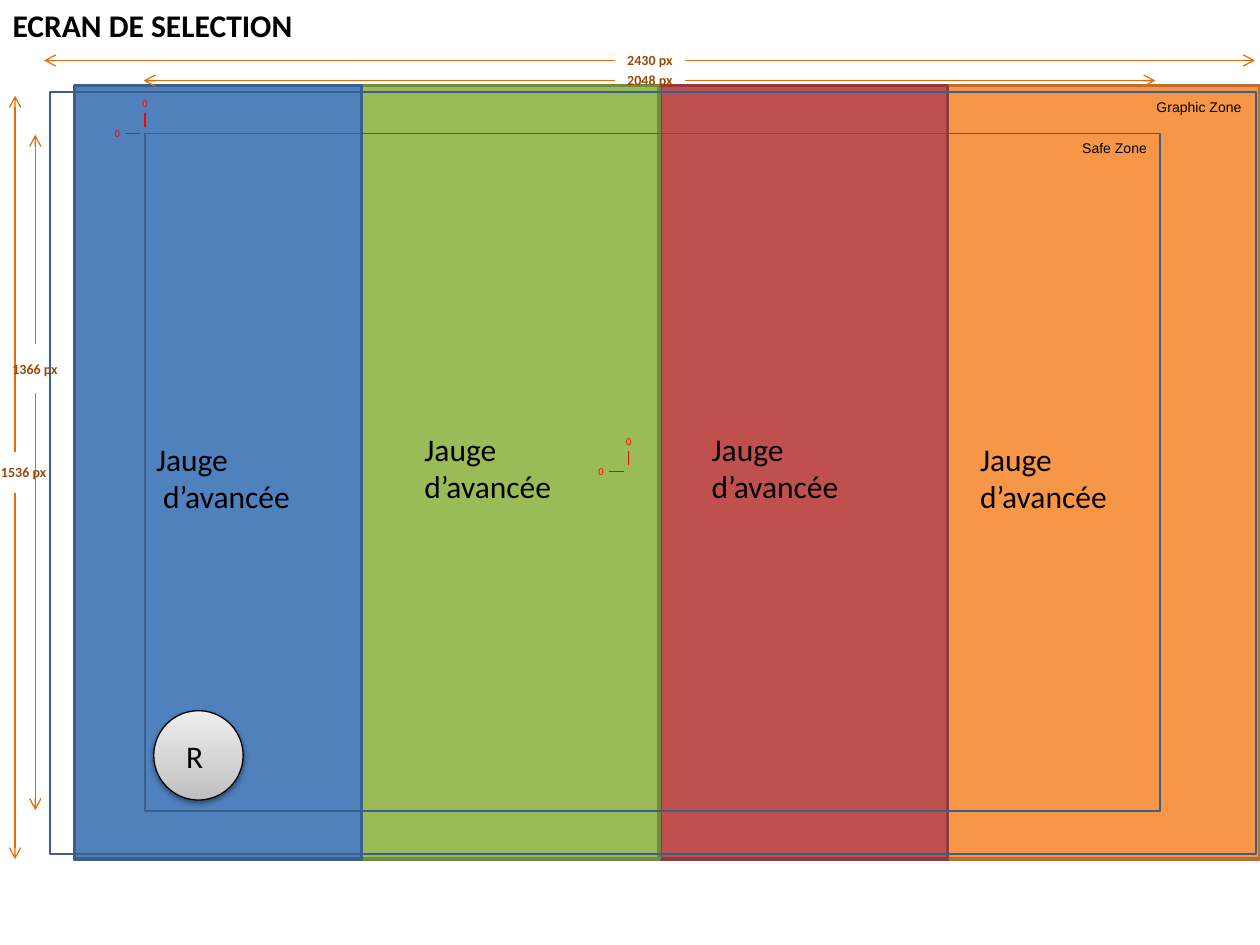
from copy import deepcopy

from lxml.etree import SubElement
from pptx import Presentation
from pptx.dml.color import RGBColor
from pptx.enum.shapes import MSO_CONNECTOR as Connector, MSO_SHAPE as Shape
from pptx.enum.text import MSO_ANCHOR as Anchor, MSO_AUTO_SIZE as AutoSize, PP_ALIGN as Align
from pptx.oxml.ns import qn
from pptx.util import Inches, Pt

COLORS = {
    "text": "000000", "origin": "FF0000", "arrow": "E46C0A", "size": "984807",
    "frame": "3A5F8C", "blue": "4F81BD",
    "green": "9BBB59", "green_edge": "738A42",
    "red": "C0504D", "red_edge": "8E3B39",
    "orange": "F79646", "orange_edge": "B76F34",
    "silver_dark": "BDBDBD", "silver": "D1D1D1", "silver_light": "EEEEEE",
}


def rgb(name):
    return RGBColor.from_string(COLORS[name])


def format_text(frame, text, size, color="text", font="Calibri", bold=False, align=Align.LEFT):
    frame.word_wrap = False
    frame.vertical_anchor = Anchor.TOP
    paragraph = frame.paragraphs[0]
    paragraph.text = text
    paragraph.alignment = align
    for run in paragraph.runs:
        run.font.size = Pt(size)
        run.font.name = font
        run.font.bold = bold
        run.font.color.rgb = rgb(color)


def add_label(slide, box, text, size, inset=True, **style):
    label = slide.shapes.add_textbox(*map(Inches, box))
    frame = label.text_frame
    if not inset:
        frame.margin_left = frame.margin_right = frame.margin_top = frame.margin_bottom = 0
    format_text(frame, text, size, **style)
    frame.auto_size = AutoSize.SHAPE_TO_FIT_TEXT


def add_outline(slide, kind, box, edge, width, fill=None):
    outline = slide.shapes.add_shape(kind, *map(Inches, box))
    outline.shadow.inherit = False
    outline.line.color.rgb = rgb(edge)
    outline.line.width = Pt(width)
    if fill:
        outline.fill.solid()
        outline.fill.fore_color.rgb = rgb(fill)
    else:
        outline.fill.background()
    return outline


def add_line(slide, start, end, color, arrow=False):
    line = slide.shapes.add_connector(Connector.STRAIGHT, *map(Inches, (*start, *end)))
    line.line.color.rgb = rgb(color)
    line.line.width = Pt(0.75)
    properties = line._element.spPr
    if arrow:
        SubElement(properties.find(qn("a:ln")), qn("a:tailEnd"), type="arrow")
    SubElement(properties, qn("a:effectLst"))


def add_dimension(slide, text, label_at, arrows):
    """A pixel size with an arrow running out on each side of it."""
    for start, end in arrows:
        add_line(slide, start, end, "arrow", arrow=True)
    add_label(slide, (*label_at, 0.56, 0.24), text, 8, color="size", bold=True)


def add_width(slide, text, y, left, right):
    add_dimension(slide, text, (4.88, y - 0.12),
                  [((4.88, y), (left, y)), ((5.44, y), (right, y))])


def add_height(slide, text, x, label_at, gap, ends):
    add_dimension(slide, text, label_at,
                  [((x, inner), (x, outer)) for inner, outer in zip(gap, ends)])


def add_origin(slide, x, y):
    """Zero marks above and to the left of a reference point."""
    add_line(slide, (x, y - 0.16), (x, y - 0.05), "origin")
    add_line(slide, (x - 0.16, y), (x - 0.04, y), "origin")
    for left, top in ((x - 0.02, y - 0.29), (x - 0.24, y - 0.05)):
        add_label(slide, (left, top, 0.04, 0.1), "0", 6, inset=False, color="origin")


def add_zone(slide, box, text, label_width):
    left, top, width, _ = box
    add_outline(slide, Shape.RECTANGLE, box, "frame", 1)
    add_label(slide, (left + width - label_width, top, label_width, 0.24), text, 8, font="Arial")


def add_button(slide, box, text):
    button = add_outline(slide, Shape.OVAL, box, "text", 0.75)
    button.fill.gradient()
    button.fill.gradient_angle = 90
    properties = button._element.spPr
    stops = properties.find(".//" + qn("a:gsLst"))
    stops.append(deepcopy(stops[0]))
    shades = ((0, "silver_dark"), (0.35, "silver"), (1, "silver_light"))
    for stop, (position, shade) in zip(button.fill.gradient_stops, shades):
        stop.position = position
        stop.color.rgb = rgb(shade)
    # Soft shadow below the button
    shadow = SubElement(properties.find(qn("a:effectLst")), qn("a:outerShdw"),
                        blurRad=str(Pt(3.1)), dist=str(Pt(1.6)), dir="5400000", rotWithShape="0")
    tint = SubElement(shadow, qn("a:srgbClr"), val=COLORS["text"])
    SubElement(tint, qn("a:alpha"), val="38000")
    left, top, _, _ = box
    add_label(slide, (left + 0.16, top + 0.16, 0.34, 0.4), text, 18)


def main():
    deck = Presentation()
    deck.slide_width, deck.slide_height = Inches(10), Inches(7.5)
    slide = deck.slides.add_slide(deck.slide_layouts[5])

    # Title
    title = slide.shapes.title
    title.left, title.top, title.width, title.height = map(Inches, (0, 0, 2.44, 0.4))
    format_text(title.text_frame, "ECRAN DE SELECTION", 18, bold=True)
    title.text_frame.auto_size = AutoSize.NONE

    # Colour columns
    columns = (
        (7.48, 2.52, "orange", "orange_edge"), (5.24, 2.28, "red", "red_edge"),
        (2.87, 2.36, "green", "green_edge"), (0.59, 2.28, "blue", "frame"),
    )
    for left, width, fill, edge in columns:
        add_outline(slide, Shape.RECTANGLE, (left, 0.68, width, 6.14), edge, 2, fill)

    # Pixel sizes
    add_width(slide, "2430 px", 0.48, 0.35, 9.96)
    add_width(slide, "2048 px", 0.64, 1.14, 9.17)
    add_height(slide, "1536 px", 0.12, (-0.09, 3.63), (3.91, 3.59), (6.82, 0.76))
    add_height(slide, "1366 px", 0.28, (0, 2.81), (3.12, 2.73), (6.43, 1.07))

    # Reference points
    add_origin(slide, 1.15, 1.06)
    add_origin(slide, 4.99, 3.74)

    # Zones
    add_zone(slide, (1.15, 1.06, 8.06, 5.38), "Safe Zone", 0.72)
    add_zone(slide, (0.4, 0.73, 9.57, 6.05), "Graphic Zone", 0.89)

    # Gauges and button
    gauges = ((1.14, 3.44, 1.28, " "), (3.27, 3.36, 1.22, ""),
              (5.55, 3.36, 1.22, ""), (7.68, 3.44, 1.22, ""))
    for left, top, width, lead in gauges:
        add_label(slide, (left, top, width, 0.71), f"Jauge \v{lead}d’avancée", 18)
    add_button(slide, (1.22, 5.64, 0.71, 0.71), "R")

    deck.save("out.pptx")


main()
